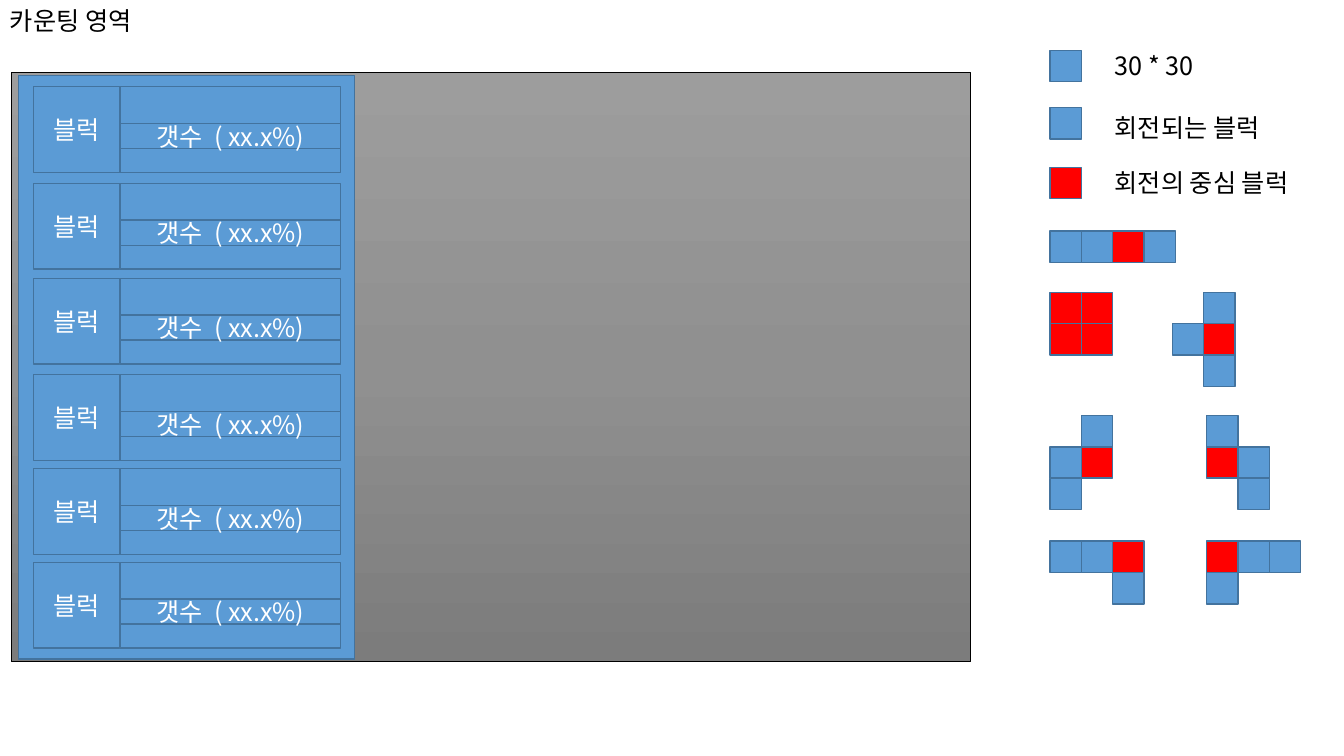
from copy import deepcopy
from dataclasses import dataclass
from typing import Any

from lxml.etree import SubElement
from pptx import Presentation
from pptx.dml.color import RGBColor
from pptx.enum.shapes import MSO_SHAPE
from pptx.enum.text import MSO_ANCHOR, MSO_AUTO_SIZE, PP_ALIGN
from pptx.oxml.ns import qn
from pptx.util import Pt

FONT = "Noto Sans CJK KR"
COLORS = {
    "blue": "5B9BD5",
    "red": "FF0000",
    "edge": "43739E",
    "black": "000000",
    "white": "FFFFFF",
    "light": "9D9D9D",
    "mid": "909090",
    "dark": "7C7C7C",
}
CELL = 22.4
KEY_LEFT = 750
KEY_TEXT = 789.2
ROW_TOPS = (62, 131, 198.8, 267.6, 334.8, 401.6)
ROW_SIDE = 61.2


@dataclass(frozen=True)
class Key:
    """A legend entry: a cell and its label."""
    label: str
    color: str
    top: float
    text_top: float
    width: float


@dataclass(frozen=True)
class Piece:
    """A game piece: b is a turning cell, r a pivot cell, a dot is empty."""
    left: float
    top: float
    rows: tuple[str, ...]


KEYS = (
    Key("30 * 30", "blue", 36, 32.4, 75),
    Key("회전되는 블럭", "blue", 77, 77, 130.4),
    Key("회전의 중심 블럭", "red", 119.5, 116, 155),
)
PIECES = (
    Piece(KEY_LEFT, 165, ("bbrb",)),
    Piece(KEY_LEFT, 208.8, ("rr", "rr")),
    Piece(837.5, 208.8, (".b", "br", ".b")),
    Piece(KEY_LEFT, 296.8, (".b", "br", "b.")),
    Piece(862, 296.8, ("b.", "rb", ".b")),
    Piece(KEY_LEFT, 386.6, ("bbr", "..b")),
    Piece(862, 386.6, ("rbb", "b..")),
)


def paint(name: str) -> RGBColor:
    """Look up a colour by name."""
    return RGBColor.from_string(COLORS[name])


def write(frame: Any, text: str, *, color: str = "black", size: float = 18,
          align: PP_ALIGN = PP_ALIGN.LEFT,
          anchor: MSO_ANCHOR = MSO_ANCHOR.TOP, wrap: bool = True) -> None:
    """Put formatted text into a text frame."""
    frame.word_wrap = wrap
    frame.vertical_anchor = anchor
    line = frame.paragraphs[0]
    line.alignment = align
    run = line.add_run()
    run.text = text
    run.font.size = Pt(size)
    run.font.name = FONT
    run.font.color.rgb = paint(color)
    SubElement(run._r.get_or_add_rPr(), qn("a:ea"), typeface=FONT)


def add_box(shapes: Any, left: float, top: float, width: float, height: float,
            *, fill: str = "blue", edge: str = "edge", weight: float = 1,
            text: str = "") -> Any:
    """Draw a filled rectangle, with centred white text if given."""
    box = shapes.add_shape(MSO_SHAPE.RECTANGLE, Pt(left), Pt(top),
                           Pt(width), Pt(height))
    box.shadow.inherit = False
    box.fill.solid()
    box.fill.fore_color.rgb = paint(fill)
    box.line.color.rgb = paint(edge)
    box.line.width = Pt(weight)
    if text:
        write(box.text_frame, text, color="white", align=PP_ALIGN.CENTER,
              anchor=MSO_ANCHOR.MIDDLE)
    return box


def add_label(shapes: Any, left: float, top: float, width: float,
              text: str) -> None:
    """Add a one-line text box."""
    label = shapes.add_textbox(Pt(left), Pt(top), Pt(width), Pt(29))
    write(label.text_frame, text, wrap=False)
    label.text_frame.auto_size = MSO_AUTO_SIZE.SHAPE_TO_FIT_TEXT


def shade(box: Any, *names: str) -> None:
    """Fill a box from top to bottom with evenly spaced colours."""
    box.fill.gradient()
    box.fill.gradient_angle = 270
    stops = box._element.spPr.find(".//" + qn("a:gsLst"))
    while len(stops) < len(names):
        stops.append(deepcopy(stops[-1]))
    for index, (stop, name) in enumerate(zip(box.fill.gradient_stops, names)):
        stop.position = index / (len(names) - 1)
        stop.color.rgb = paint(name)


def add_row(shapes: Any, top: float) -> None:
    """Draw a block cell and its count field."""
    add_box(shapes, 24, top, ROW_SIDE, ROW_SIDE, text="블럭")
    add_box(shapes, 85.8, top, 157.5, ROW_SIDE)
    add_box(shapes, 85.8, top + 26.2, 157.5, 18, text="갯수  ( xx.x%)")


def add_piece(shapes: Any, piece: Piece) -> None:
    """Draw a game piece as a group of cells."""
    group = shapes.add_group_shape().shapes
    for row, marks in enumerate(piece.rows):
        for col, mark in enumerate(marks):
            if mark != ".":
                add_box(group, piece.left + col * CELL, piece.top + row * CELL,
                        CELL, CELL, fill="red" if mark == "r" else "blue")


def main() -> None:
    """Build and save the slide."""
    deck = Presentation()
    deck.slide_width, deck.slide_height = Pt(960), Pt(540)
    shapes = deck.slides.add_slide(deck.slide_layouts[6]).shapes

    add_label(shapes, 0, 0, 111.6, "카운팅 영역")
    field = add_box(shapes, 8, 51.8, 685.4, 421, edge="black", weight=0.5)
    shade(field, "light", "mid", "dark")

    panel = shapes.add_group_shape().shapes
    add_box(panel, 13.4, 53.8, 240, 417)
    for top in ROW_TOPS:
        add_row(panel, top)

    for piece in PIECES:
        add_piece(shapes, piece)
    for key in KEYS:
        add_box(shapes, KEY_LEFT, key.top, CELL, CELL, fill=key.color)
        add_label(shapes, KEY_TEXT, key.text_top, key.width, key.label)

    deck.save("out.pptx")


main()
